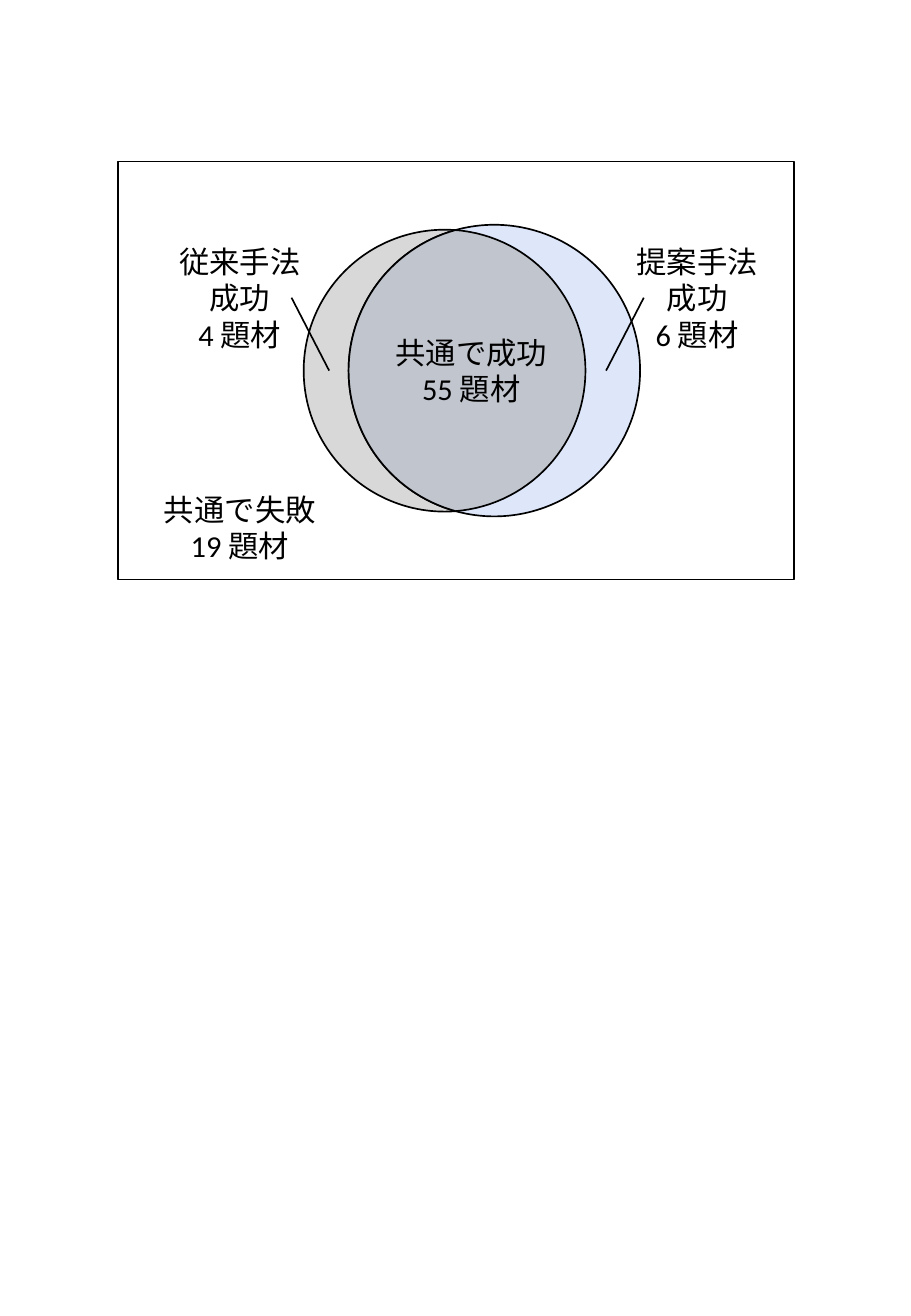
from math import acos, cos, pi, sin

from pptx import Presentation
from pptx.dml.color import RGBColor
from pptx.enum.shapes import MSO_CONNECTOR, MSO_SHAPE
from pptx.enum.text import MSO_AUTO_SIZE, PP_ALIGN
from pptx.oxml.ns import qn
from pptx.util import Inches, Pt

BLACK = "000000"
CENTER_Y = 3.05
CONVENTIONAL = (3.66, 1.16)
PROPOSED = (4.07, 1.2)
ARC_STEPS = 60


def color(hex_value):
    return RGBColor.from_string(hex_value)


def outline(line):
    line.color.rgb = color(BLACK)
    line.width = Pt(1)


def style(shape, fill=None):
    shape.shadow.inherit = False
    outline(shape.line)
    if fill:
        shape.fill.solid()
        shape.fill.fore_color.rgb = color(fill)
    else:
        shape.fill.background()


def add_circle(slide, circle, fill):
    center_x, radius = circle
    shape = slide.shapes.add_shape(
        MSO_SHAPE.FLOWCHART_CONNECTOR, Inches(center_x - radius),
        Inches(CENTER_Y - radius), Inches(2 * radius), Inches(2 * radius))
    style(shape, fill)


def arc(circle, middle, half_angle):
    center_x, radius = circle
    angles = [middle + half_angle * (2 * step / ARC_STEPS - 1)
              for step in range(ARC_STEPS + 1)]
    return [(Inches(center_x + radius * cos(angle)),
             Inches(CENTER_Y + radius * sin(angle))) for angle in angles]


def add_overlap(slide, left_circle, right_circle, fill):
    left_x, left_radius = left_circle
    right_x, right_radius = right_circle
    distance = right_x - left_x
    offset = (distance**2 + left_radius**2 - right_radius**2) / (2 * distance)
    points = (arc(left_circle, 0, acos(offset / left_radius))
              + arc(right_circle, pi, acos((distance - offset) / right_radius)))
    builder = slide.shapes.build_freeform(*points[0])
    builder.add_line_segments(points[1:], close=True)
    style(builder.convert_to_shape(), fill)


def add_label(slide, left, top, width, height, text):
    box = slide.shapes.add_textbox(
        Inches(left), Inches(top), Inches(width), Inches(height))
    frame = box.text_frame
    frame.word_wrap = True
    frame.auto_size = MSO_AUTO_SIZE.SHAPE_TO_FIT_TEXT
    frame.text = text
    for paragraph in frame.paragraphs:
        paragraph.alignment = PP_ALIGN.CENTER
        for run in paragraph.runs:
            run.font.name = "Calibri"
            run.font.size = Pt(18)
            run.font.color.rgb = color(BLACK)


def add_leader(slide, start_x, end_x):
    leader = slide.shapes.add_connector(
        MSO_CONNECTOR.STRAIGHT, Inches(start_x), Inches(CENTER_Y),
        Inches(end_x), Inches(2.45))
    outline(leader.line)
    properties = leader._element.spPr
    properties.append(properties.makeelement(qn("a:effectLst"), {}))


def add_frame(slide, left, top, width, height):
    frame = slide.shapes.add_shape(
        MSO_SHAPE.RECTANGLE, Inches(left), Inches(top),
        Inches(width), Inches(height))
    style(frame)


def main():
    presentation = Presentation()
    presentation.slide_width = Inches(7.5)
    presentation.slide_height = Inches(10.83)
    slide = presentation.slides.add_slide(presentation.slide_layouts[6])

    add_circle(slide, CONVENTIONAL, "D8D8D8")
    add_circle(slide, PROPOSED, "DEE7FA")
    add_overlap(slide, CONVENTIONAL, PROPOSED, "C1C5CD")
    add_label(slide, 1.31, 1.95, 1.33, 1.01, "従来手法成功\n4 題材")
    add_label(slide, 5.13, 1.95, 1.22, 1.01, "提案手法\n成功\n6 題材")
    add_label(slide, 1.17, 3.99, 1.61, 0.71, "共通で失敗\n19 題材")
    add_leader(slide, 4.99, 5.3)
    add_leader(slide, 2.71, 2.4)
    add_frame(slide, 0.97, 1.33, 5.57, 3.44)
    add_label(slide, 3.14, 2.7, 1.48, 0.71, "共通で成功\v55 題材")

    presentation.save("out.pptx")


main()
